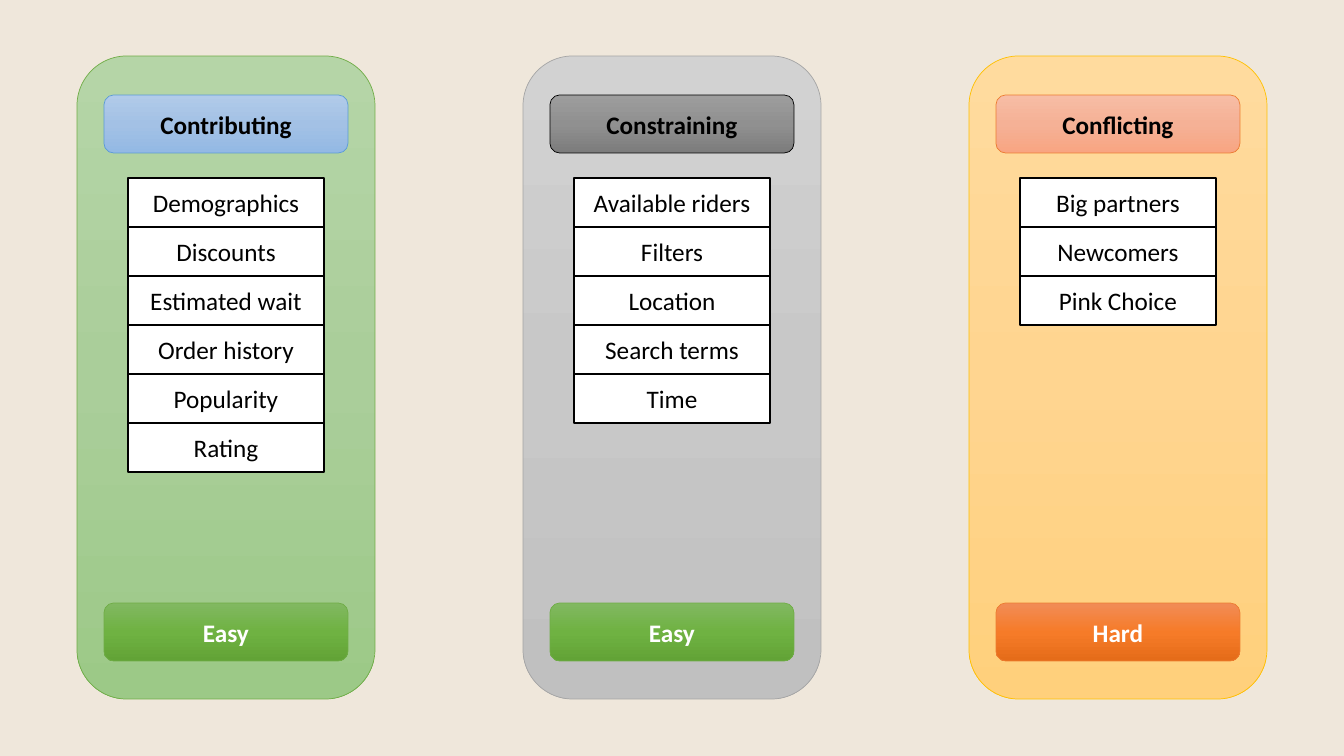
from copy import deepcopy
from pptx import Presentation
from pptx.dml.color import RGBColor
from pptx.enum.shapes import MSO_SHAPE
from pptx.enum.text import MSO_ANCHOR, PP_ALIGN
from pptx.oxml.ns import qn
from pptx.util import Pt

COLS = [
    ("Contributing", "blue", "green", "Easy", "leaf",
     ["Demographics", "Discounts", "Estimated wait", "Order history",
      "Popularity", "Rating"]),
    ("Constraining", "dark", "gray", "Easy", "leaf",
     ["Available riders", "Filters", "Location", "Search terms", "Time"]),
    ("Conflicting", "pink", "gold", "Hard", "fire",
     ["Big partners", "Newcomers", "Pink Choice"]),
]
HEX = {"back": "EFE7DB", "white": "FFFFFF", "black": "000000"}
FADES = {
    "green": ("B5D5A7", "AACE9A", "9CC987"),
    "gray": ("D2D2D2", "C8C8C8", "C0C0C0"),
    "gold": ("FFDB9E", "FFD590", "FFD07C"),
    "blue": ("B1CBE9", "A3C1E5", "93B9E4"),
    "dark": ("9D9D9D", "909090", "7C7C7C"),
    "pink": ("F7BDA5", "F5B196", "F8A582"),
    "leaf": ("81B861", "6FB242", "62A336"),
    "fire": ("F18C57", "F67B28", "E56C19"),
}
EDGES = {"green": "70AD47", "gray": "A5A5A5", "gold": "FFC000",
         "blue": "5B9BD5", "dark": "000000", "pink": "ED7D31",
         "leaf": "70AD47", "fire": "ED7D31"}
SCALE = 914400 / 100.8
LEFT, PITCH = 77, 446
PANEL, PILL, ROW = (298, 643), (244, 58), (196, 49)
TOP, HEAD, LIST, FOOT = 56, 95, 178, 603


def emu(px):
    return round(px * SCALE)


def add_box(kind, col, top, size, edge, width):
    wide, high = size
    left = LEFT + col * PITCH + (PANEL[0] - wide) / 2
    box = slide.shapes.add_shape(
        kind, emu(left), emu(top), emu(wide), emu(high))
    box.shadow.inherit = False
    box.line.color.rgb = RGBColor.from_string(edge)
    box.line.width = Pt(width)
    return box


def add_fade(col, top, size, name):
    box = add_box(MSO_SHAPE.ROUNDED_RECTANGLE, col, top, size,
                  EDGES[name], 0.5)
    box.fill.gradient()
    box.fill.gradient_angle = 270
    stops = box.element.spPr.find(qn("a:gradFill")).find(qn("a:gsLst"))
    stops.insert(1, deepcopy(stops[0]))
    for i, (stop, tone) in enumerate(zip(box.fill.gradient_stops, FADES[name])):
        stop.position = i / 2
        stop.color.rgb = RGBColor.from_string(tone)
    return box


def write(box, text, tone, bold):
    frame = box.text_frame
    frame.text = text
    frame.vertical_anchor = MSO_ANCHOR.MIDDLE
    para = frame.paragraphs[0]
    para.alignment = PP_ALIGN.CENTER
    font = para.runs[0].font
    font.name, font.size, font.bold = "Calibri", Pt(18), bold
    font.color.rgb = RGBColor.from_string(HEX[tone])


deck = Presentation()
deck.slide_width, deck.slide_height = emu(1344), emu(756)
slide = deck.slides.add_slide(deck.slide_layouts[6])
slide.background.fill.solid()
slide.background.fill.fore_color.rgb = RGBColor.from_string(HEX["back"])

for col, (title, hue, panel, grade, mark, items) in enumerate(COLS):
    add_fade(col, TOP, PANEL, panel)
    for i, item in enumerate(items):
        row = add_box(MSO_SHAPE.RECTANGLE, col, LIST + i * ROW[1], ROW,
                      HEX["black"], 1)
        row.fill.solid()
        row.fill.fore_color.rgb = RGBColor.from_string(HEX["white"])
        write(row, item, "black", False)
    write(add_fade(col, HEAD, PILL, hue), title, "black", True)
    write(add_fade(col, FOOT, PILL, mark), grade, "white", True)

deck.save("out.pptx")
